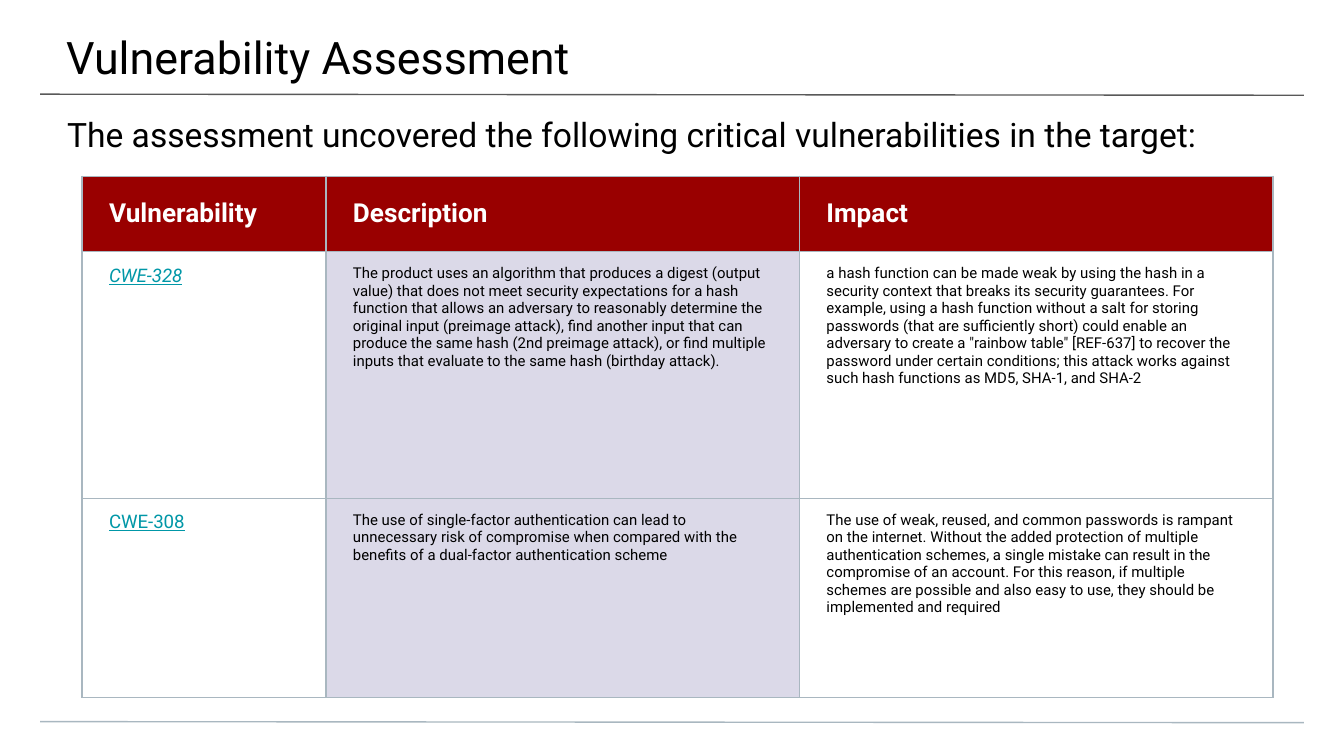
from lxml.etree import SubElement
from pptx import Presentation
from pptx.dml.color import RGBColor
from pptx.enum.shapes import MSO_CONNECTOR
from pptx.enum.text import MSO_ANCHOR, MSO_AUTO_SIZE, PP_ALIGN
from pptx.oxml.ns import qn
from pptx.util import Cm, Pt

FONT = "Roboto"
BLACK = RGBColor(0x00, 0x00, 0x00)
WHITE = RGBColor(0xFF, 0xFF, 0xFF)
DARK_GRAY = RGBColor(0x59, 0x59, 0x59)
BLUE_GRAY = RGBColor(0xA9, 0xB7, 0xC0)
RED = RGBColor(0x99, 0x00, 0x00)
LILAC = RGBColor(0xDB, 0xD9, 0xE8)
TEAL = RGBColor(0x00, 0x97, 0xA7)

TITLE = "Vulnerability Assessment"
SUBTITLE = "The assessment uncovered the following critical vulnerabilities in the target:"
ROWS = [
    ("Vulnerability", "Description", "Impact"),
    ("CWE-328",
     "The product uses an algorithm that produces a digest (output value) that does not "
     "meet security expectations for a hash function that allows an adversary to reasonably "
     "determine the original input (preimage attack), find another input that can produce "
     "the same hash (2nd preimage attack), or find multiple inputs that evaluate to the same "
     "hash (birthday attack).",
     "a hash function can be made weak by using the hash in a security context that breaks "
     "its security guarantees. For example, using a hash function without a salt for storing "
     "passwords (that are sufficiently short) could enable an adversary to create a \"rainbow "
     "table\" [REF-637] to recover the password under certain conditions; this attack works "
     "against such hash functions as MD5, SHA-1, and SHA-2"),
    ("CWE-308",
     "The use of single-factor authentication can lead to unnecessary risk of compromise when "
     "compared with the benefits of a dual-factor authentication scheme",
     "The use of weak, reused, and common passwords is rampant on the internet. Without the "
     "added protection of multiple authentication schemes, a single mistake can result in the "
     "compromise of an account. For this reason, if multiple schemes are possible and also "
     "easy to use, they should be implemented and required"),
]
COL_WIDTHS = (4.61, 8.95, 8.95)
ROW_HEIGHTS = (1.43, 4.66, 3.77)
RULES = [(1.78, DARK_GRAY), (13.64, BLUE_GRAY)]


def set_margins(target, left, top, right, bottom):
    target.margin_left, target.margin_top = Cm(left), Cm(top)
    target.margin_right, target.margin_bottom = Cm(right), Cm(bottom)


def write(tf, text, size, color, bold=False, italic=False, underline=False):
    tf.text = text
    p = tf.paragraphs[0]
    p.alignment = PP_ALIGN.LEFT
    font = p.runs[0].font
    font.name, font.size, font.color.rgb = FONT, Pt(size), color
    font.bold, font.italic, font.underline = bold, italic, underline


def place_heading(shape, box, margins, text, size):
    shape.left, shape.top, shape.width, shape.height = map(Cm, box)
    tf = shape.text_frame
    tf.word_wrap, tf.auto_size = True, MSO_AUTO_SIZE.NONE
    tf.vertical_anchor = MSO_ANCHOR.TOP
    set_margins(tf, *margins)
    write(tf, text, size, BLACK)


def add_rule(s, y, color):
    rule = s.shapes.add_connector(MSO_CONNECTOR.STRAIGHT, Cm(0.76), Cm(y), Cm(24.64), Cm(y + 0.02))
    rule.line.color.rgb, rule.line.width = color, Pt(0.75)
    SubElement(rule._element.spPr, qn("a:effectLst"))


def add_borders(cell):
    """Draw all four cell borders; they must come before the cell's fill."""
    tc_pr = cell._tc.get_or_add_tcPr()
    for side in ("lnL", "lnR", "lnT", "lnB"):
        ln = SubElement(tc_pr, qn(f"a:{side}"), w=str(Pt(0.75)))
        fill = SubElement(ln, qn("a:solidFill"))
        SubElement(fill, qn("a:srgbClr"), val=str(BLUE_GRAY))


def fill_cell(cell, text, row, col):
    set_margins(cell, 0.51, 0.25, 0.51, 0.25)
    cell.vertical_anchor = MSO_ANCHOR.TOP if row else MSO_ANCHOR.MIDDLE
    add_borders(cell)
    fill = RED if row == 0 else LILAC if col == 1 else None
    if fill is None:
        cell.fill.background()
    else:
        cell.fill.solid()
        cell.fill.fore_color.rgb = fill
    if row == 0:
        write(cell.text_frame, text, 14, WHITE, bold=True)
    elif col == 0:
        write(cell.text_frame, text, 10, TEAL, italic=row == 1, underline=True)
    else:
        write(cell.text_frame, text, 8, BLACK)


def add_findings_table(s):
    table = s.shapes.add_table(len(ROWS), len(COL_WIDTHS), Cm(1.55), Cm(3.33),
                               Cm(sum(COL_WIDTHS)), Cm(sum(ROW_HEIGHTS))).table
    table.first_row = table.horz_banding = False
    for column, width in zip(table.columns, COL_WIDTHS):
        column.width = Cm(width)
    for i, (height, texts) in enumerate(zip(ROW_HEIGHTS, ROWS)):
        table.rows[i].height = Cm(height)
        for j, text in enumerate(texts):
            fill_cell(table.cell(i, j), text, i, j)


def main():
    prs = Presentation()
    prs.slide_width, prs.slide_height = Cm(25.4), Cm(14.29)
    s = prs.slides.add_slide(prs.slide_layouts[5])
    for y, color in RULES:
        add_rule(s, y, color)
    place_heading(s.shapes.title, (0, 0, 25.4, 1.48), (1.25, 0.57, 0.76, 0.25), TITLE, 24)
    subtitle = s.shapes.add_textbox(0, 0, 0, 0)
    place_heading(subtitle, (0, 1.88, 25.4, 1.02), (1.27, 0.28, 1.27, 0), SUBTITLE, 18)
    add_findings_table(s)
    prs.save("out.pptx")


if __name__ == "__main__":
    main()
